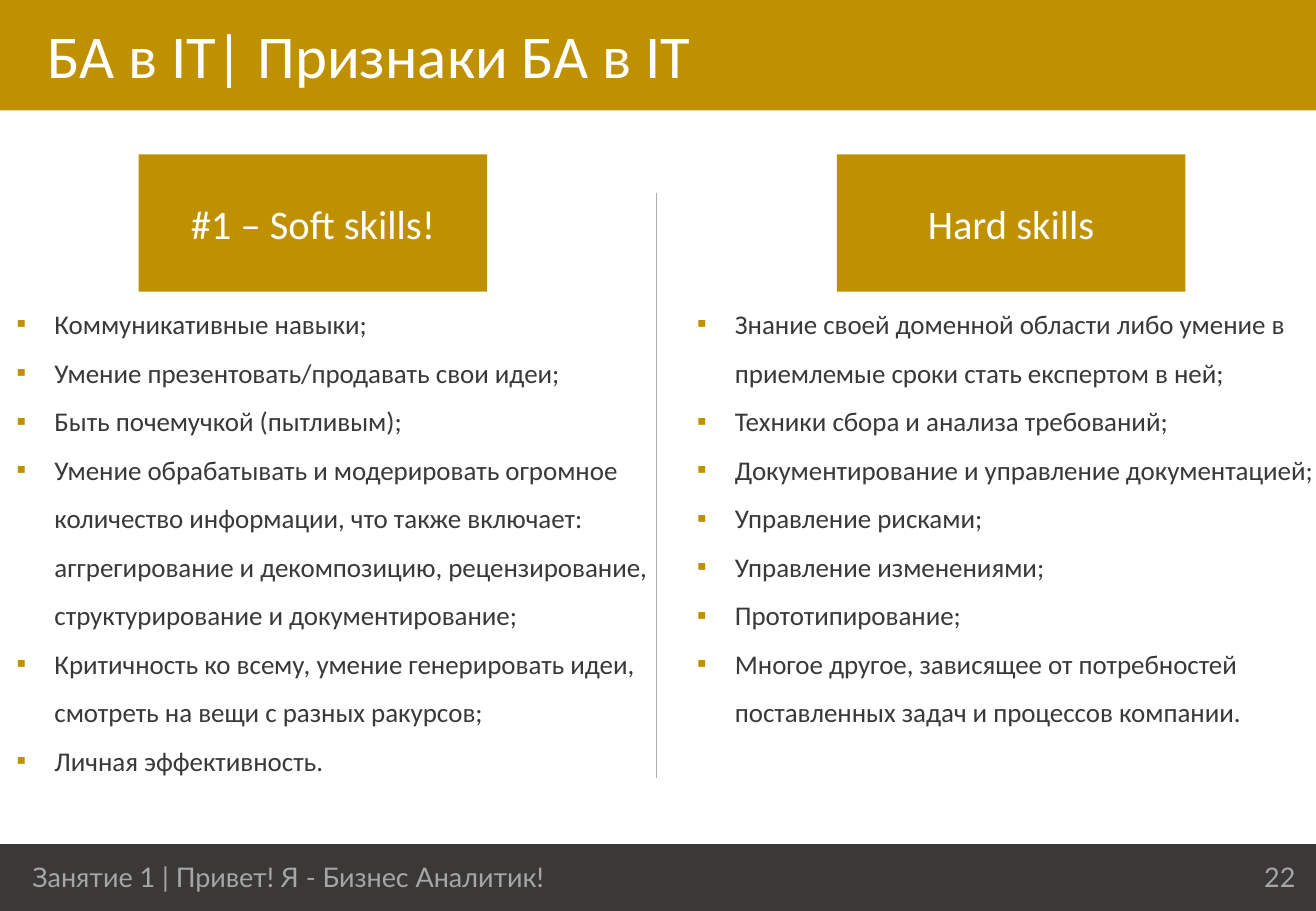
from lxml import etree
from pptx import Presentation
from pptx import util as u
from pptx.dml import color
from pptx.enum import shapes, text
from pptx.oxml import ns

COLORS = {
    "gold": "BF9000",
    "dark": "3B3838",
    "footer_text": "A6A6A6",
    "divider": "AFABAB",
    "white": "FFFFFF",
}
SLIDE_WIDTH, SLIDE_HEIGHT = 27.52, 19.05
HEADING_WIDTH, HEADING_HEIGHT = 7.29, 2.87
LIST_OFFSET = 2.74

SOFT_SKILLS = [
    "Коммуникативные навыки;",
    "Умение презентовать/продавать свои идеи;",
    "Быть почемучкой (пытливым);",
    "Умение обрабатывать и модерировать огромное количество информации, "
    "что также включает: аггрегирование и декомпозицию, рецензирование, "
    "структурирование и документирование;",
    "Критичность ко всему, умение генерировать идеи, "
    "смотреть на вещи с разных ракурсов;",
    "Личная эффективность.",
]
HARD_SKILLS = [
    "Знание своей доменной области либо умение в приемлемые сроки "
    "стать експертом в ней;",
    "Техники сбора и анализа требований;",
    "Документирование и управление документацией;",
    "Управление рисками;",
    "Управление изменениями;",
    "Прототипирование;",
    "Многое другое, зависящее от потребностей поставленных задач "
    "и процессов компании.",
]


def rgb(name):
    return color.RGBColor.from_string(COLORS[name])


def lengths(box):
    return [u.Cm(value) for value in box]


def add_run(paragraph, content, size, color_name, font="Calibri"):
    run = paragraph.add_run()
    run.text = content
    run.font.size = u.Pt(size)
    run.font.name = font
    run.font.color.rgb = rgb(color_name)


def add_rectangle(slide, box, color_name):
    shape = slide.shapes.add_shape(shapes.MSO_SHAPE.RECTANGLE, *lengths(box))
    shape.shadow.inherit = False
    shape.fill.solid()
    shape.fill.fore_color.rgb = rgb(color_name)
    shape.line.fill.background()
    return shape


def add_text_frame(slide, box, anchor=text.MSO_ANCHOR.TOP):
    frame = slide.shapes.add_textbox(*lengths(box)).text_frame
    frame.word_wrap = True
    frame.vertical_anchor = anchor
    return frame


def add_bullet(paragraph):
    properties = paragraph._p.get_or_add_pPr()
    properties.set("marL", str(u.Cm(0.79)))
    properties.set("indent", str(-u.Cm(0.79)))
    bullet_color = etree.SubElement(properties, ns.qn("a:buClr"))
    etree.SubElement(bullet_color, ns.qn("a:srgbClr"), val=COLORS["gold"])
    etree.SubElement(properties, ns.qn("a:buFont"), typeface="Calibri")
    etree.SubElement(properties, ns.qn("a:buChar"), char="▪")


def add_footer(slide, box, caption, number):
    left, top, width, height = box
    add_rectangle(slide, box, "dark")
    parts = [
        (caption, left + 0.43, 13.46, text.PP_ALIGN.LEFT),
        (number, left + width - 6.38, 6.2, text.PP_ALIGN.RIGHT),
    ]
    for content, part_left, part_width, alignment in parts:
        part_box = (part_left, top + 0.18, part_width, height - 0.38)
        frame = add_text_frame(slide, part_box, text.MSO_ANCHOR.MIDDLE)
        paragraph = frame.paragraphs[0]
        paragraph.alignment = alignment
        add_run(paragraph, content, 16, "footer_text", "Lato")


def add_header(slide, box, title):
    left, top, width, height = box
    add_rectangle(slide, box, "gold")
    frame = add_text_frame(
        slide, (left + 0.74, top + 0.25, width - 1.46, height - 0.51)
    )
    add_run(frame.paragraphs[0], title, 36, "white")


def add_divider(slide, left, top, bottom):
    line = slide.shapes.add_connector(
        shapes.MSO_CONNECTOR.STRAIGHT, *lengths((left, top, left, bottom))
    )
    line.line.color.rgb = rgb("divider")
    line.line.width = u.Pt(0.5)
    etree.SubElement(line._element.spPr, ns.qn("a:effectLst"))


def add_skill_column(slide, box, heading_offset, heading, skills):
    left, top, width, height = box
    shape = add_rectangle(
        slide,
        (left + heading_offset, top, HEADING_WIDTH, HEADING_HEIGHT),
        "gold",
    )
    shape.text_frame.vertical_anchor = text.MSO_ANCHOR.MIDDLE
    paragraph = shape.text_frame.paragraphs[0]
    paragraph.alignment = text.PP_ALIGN.CENTER
    add_run(paragraph, heading, 24, "white")

    frame = add_text_frame(
        slide, (left, top + LIST_OFFSET, width, height - LIST_OFFSET)
    )
    for index, skill in enumerate(skills):
        paragraph = frame.add_paragraph() if index else frame.paragraphs[0]
        add_bullet(paragraph)
        paragraph.line_spacing = 1.5
        add_run(paragraph, skill, 16, "dark")


def main():
    presentation = Presentation()
    presentation.slide_width = u.Cm(SLIDE_WIDTH)
    presentation.slide_height = u.Cm(SLIDE_HEIGHT)
    slide = presentation.slides.add_slide(presentation.slide_layouts[6])

    add_footer(
        slide,
        (0, 17.65, SLIDE_WIDTH, 1.4),
        "Занятие 1 | Привет! Я - Бизнес Аналитик!",
        "22",
    )
    add_header(slide, (0, 0, SLIDE_WIDTH, 2.31), "БА в ІТ| Признаки БА в IT")
    add_divider(slide, 13.73, 4.04, 16.26)
    add_skill_column(
        slide, (0.1, 3.23, 13.77, 13.15), 2.8, "#1 – Soft skills!", SOFT_SKILLS
    )
    add_skill_column(
        slide, (14.33, 3.23, 13.77, 12.11), 3.17, "Hard skills", HARD_SKILLS
    )
    presentation.save("out.pptx")


if __name__ == "__main__":
    main()
